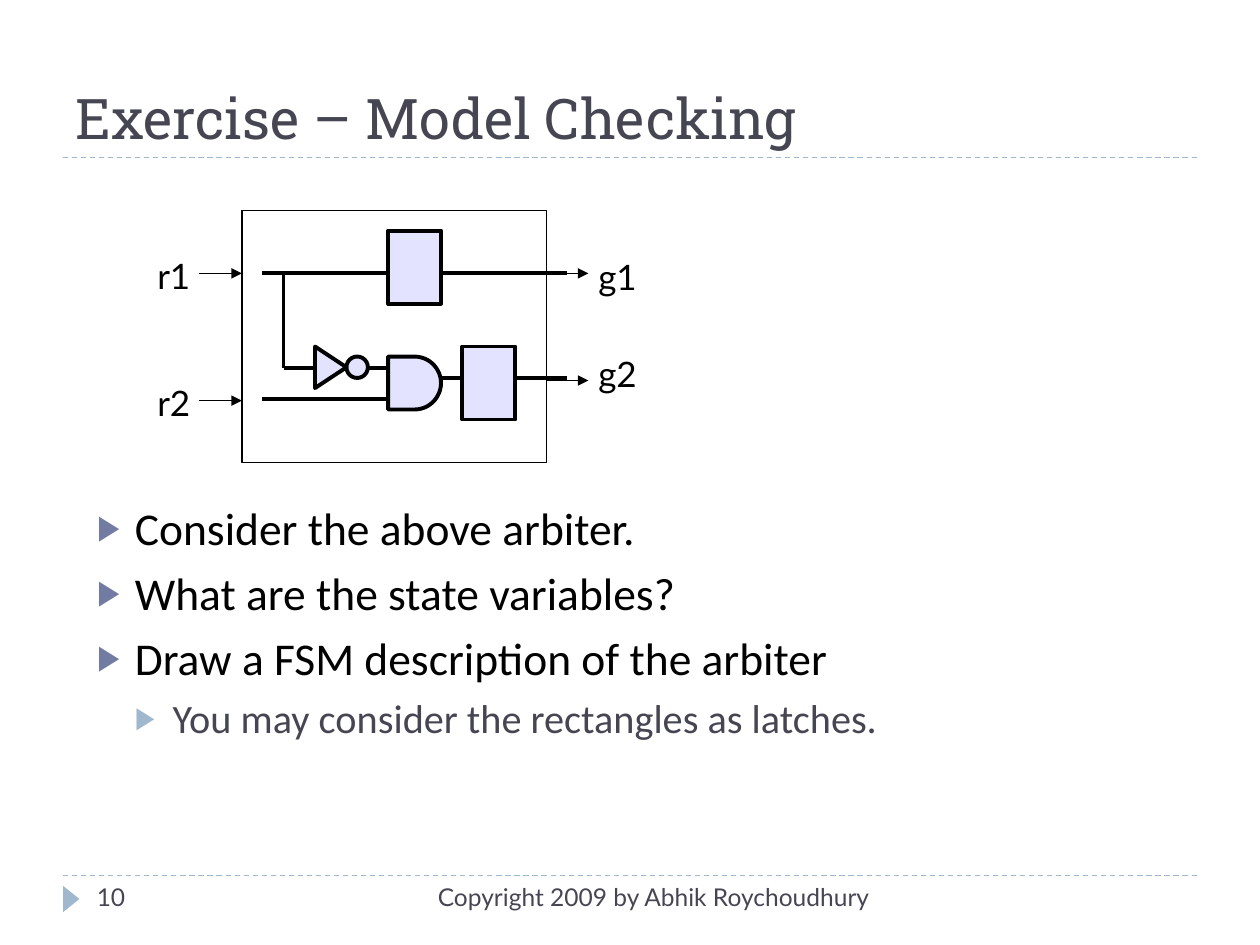
from lxml.etree import SubElement
from pptx import Presentation
from pptx.dml.color import RGBColor
from pptx.enum.dml import MSO_LINE
from pptx.enum.shapes import MSO_CONNECTOR, MSO_SHAPE
from pptx.enum.text import MSO_ANCHOR, MSO_AUTO_SIZE, PP_ALIGN
from pptx.oxml.ns import qn
from pptx.util import Inches, Pt

COLORS = {
    "ink": "000000",
    "heading": "464653",
    "accent": "727CA3",
    "pale": "9FB8CD",
    "gate": "E3E3FF",
}
LABEL = {"name": "Lato", "size": Pt(20), "color": "ink"}
FOOTER = {"name": "Lato", "size": Pt(14), "color": "heading"}
TITLE = {"name": "Roboto Slab", "size": Pt(32), "color": "heading"}
LEVELS = [
    {"font": {"name": "Calibri", "size": Pt(26), "color": "ink"},
     "bullet": "accent", "space": 6},
    {"font": {"name": "Calibri", "size": Pt(23), "color": "heading"},
     "bullet": "pale", "space": 5},
]
BULLETS = [
    ("Consider the above arbiter.", 0),
    ("What are the state variables?", 0),
    ("Draw a FSM description of the arbiter", 0),
    ("You may consider the rectangles as latches.", 1),
]


def rgb(name):
    return RGBColor.from_string(COLORS[name])


def format_font(font, values):
    for key, value in values.items():
        if key == "color":
            font.color.rgb = rgb(value)
        else:
            setattr(font, key, value)


def place(sp, left, top, width, height):
    sp.left, sp.top = Inches(left), Inches(top)
    sp.width, sp.height = Inches(width), Inches(height)


def add_line(slide, start, end, color="ink", width=2.25, dash=None, arrow=False):
    line = slide.shapes.add_connector(
        MSO_CONNECTOR.STRAIGHT, *map(Inches, (*start, *end)))
    line.line.color.rgb = rgb(color)
    line.line.width = Pt(width)
    if dash:
        line.line.dash_style = dash
    if arrow:
        SubElement(line.line._get_or_add_ln(), qn("a:tailEnd"), type="triangle")
    SubElement(line._element.spPr, qn("a:effectLst"))


def add_shape(slide, kind, box, fill=None, outline=None, width=2.25, rotation=0):
    sp = slide.shapes.add_shape(kind, *map(Inches, box))
    sp.shadow.inherit = False
    sp.rotation = rotation
    if fill:
        sp.fill.solid()
        sp.fill.fore_color.rgb = rgb(fill)
    else:
        sp.fill.background()
    if outline:
        sp.line.color.rgb = rgb(outline)
        sp.line.width = Pt(width)
    else:
        sp.line.fill.background()


def add_text(slide, text, box, font, wrap=True, align=PP_ALIGN.LEFT):
    tf = slide.shapes.add_textbox(*map(Inches, box)).text_frame
    tf.word_wrap = wrap
    if not wrap:
        tf.auto_size = MSO_AUTO_SIZE.SHAPE_TO_FIT_TEXT
    p = tf.paragraphs[0]
    p.alignment = align
    r = p.add_run()
    r.text = text
    format_font(r.font, font)


def add_bullet(p, level, color):
    pPr = p._p.get_or_add_pPr()
    pPr.set("marL", str(Inches(0.3 * (level + 1))))
    pPr.set("indent", str(Inches(-0.3)))
    SubElement(SubElement(pPr, qn("a:buClr")), qn("a:srgbClr"), val=COLORS[color])
    SubElement(pPr, qn("a:buSzPct"), val="76000")
    SubElement(pPr, qn("a:buChar"), char="▶")


def fill_title(sp):
    place(sp, 0.5, 0.17, 9, 1.08)
    tf = sp.text_frame
    tf.auto_size = MSO_AUTO_SIZE.NONE
    tf.vertical_anchor = MSO_ANCHOR.BOTTOM
    p = tf.paragraphs[0]
    p.alignment = PP_ALIGN.LEFT
    r = p.add_run()
    r.text = "Exercise – Model Checking"
    format_font(r.font, TITLE)


def fill_body(sp):
    place(sp, 0.67, 3.92, 8.08, 2.67)
    tf = sp.text_frame
    tf.auto_size = MSO_AUTO_SIZE.NONE
    for i, (text, level) in enumerate(BULLETS):
        p = tf.add_paragraph() if i else tf.paragraphs[0]
        style = LEVELS[level]
        p.level = level
        add_bullet(p, level, style["bullet"])
        p.space_before = Pt(style["space"] if i else 0)
        r = p.add_run()
        r.text = text
        format_font(r.font, style["font"])


def draw_frame(slide):
    """Dashed rules, page marker and footer texts."""
    for y in (6.95, 1.25):
        add_line(slide, (0.5, y), (9.5, y), "pale", 0.75, MSO_LINE.DASH)
    add_shape(slide, MSO_SHAPE.ISOSCELES_TRIANGLE, (0.46, 7.07, 0.21, 0.13),
              "pale", rotation=90)
    add_text(slide, "Copyright 2009 by Abhik Roychoudhury",
             (3.17, 6.95, 3.83, 0.4), FOOTER, align=PP_ALIGN.RIGHT)
    add_text(slide, "10", (0.67, 6.95, 2.17, 0.4), FOOTER)


def draw_ports(slide):
    add_shape(slide, MSO_SHAPE.RECTANGLE, (1.92, 1.67, 2.42, 2),
              outline="ink", width=0.75)
    ports = [
        ("r1", (1.15, 1.97, 0.47, 0.44), (1.58, 2.17)),
        ("r2", (1.15, 2.98, 0.47, 0.44), (1.58, 3.18)),
        ("g1", (4.65, 1.98, 0.53, 0.44), (4.33, 2.17)),
        ("g2", (4.65, 2.75, 0.53, 0.44), (4.33, 3.02)),
    ]
    for name, box, (x, y) in ports:
        add_text(slide, name, box, LABEL, wrap=False)
        add_line(slide, (x, y), (x + 0.34, y), width=0.75, arrow=True)


def draw_circuit(slide):
    gates = [
        (MSO_SHAPE.RECTANGLE, (3.08, 1.83, 0.42, 0.58), 0),
        (MSO_SHAPE.FLOWCHART_DELAY, (3.08, 2.83, 0.42, 0.42), 0),
        (MSO_SHAPE.RECTANGLE, (3.67, 2.75, 0.42, 0.58), 0),
        (MSO_SHAPE.OVAL, (2.75, 2.83, 0.17, 0.17), 0),
        (MSO_SHAPE.FLOWCHART_MERGE, (2.46, 2.79, 0.33, 0.25), 270),
    ]
    for kind, box, rotation in gates:
        add_shape(slide, kind, box, "gate", "ink", rotation=rotation)
    wires = [
        ((2.08, 2.17), (3.08, 2.17)),
        ((2.25, 2.17), (2.25, 2.92)),
        ((2.25, 2.92), (2.5, 2.92)),
        ((2.92, 2.92), (3.08, 2.92)),
        ((3.08, 3.17), (2.08, 3.17)),
        ((3.5, 3), (3.67, 3)),
        ((3.5, 2.17), (4.5, 2.17)),
        ((4.08, 3), (4.5, 3)),
    ]
    for start, end in wires:
        add_line(slide, start, end)


def main():
    prs = Presentation()
    prs.slide_width, prs.slide_height = Inches(10), Inches(7.5)
    slide = prs.slides.add_slide(prs.slide_layouts[1])
    fill_title(slide.shapes.title)
    fill_body(slide.placeholders[1])
    draw_frame(slide)
    draw_ports(slide)
    draw_circuit(slide)
    prs.save("out.pptx")


if __name__ == "__main__":
    main()
